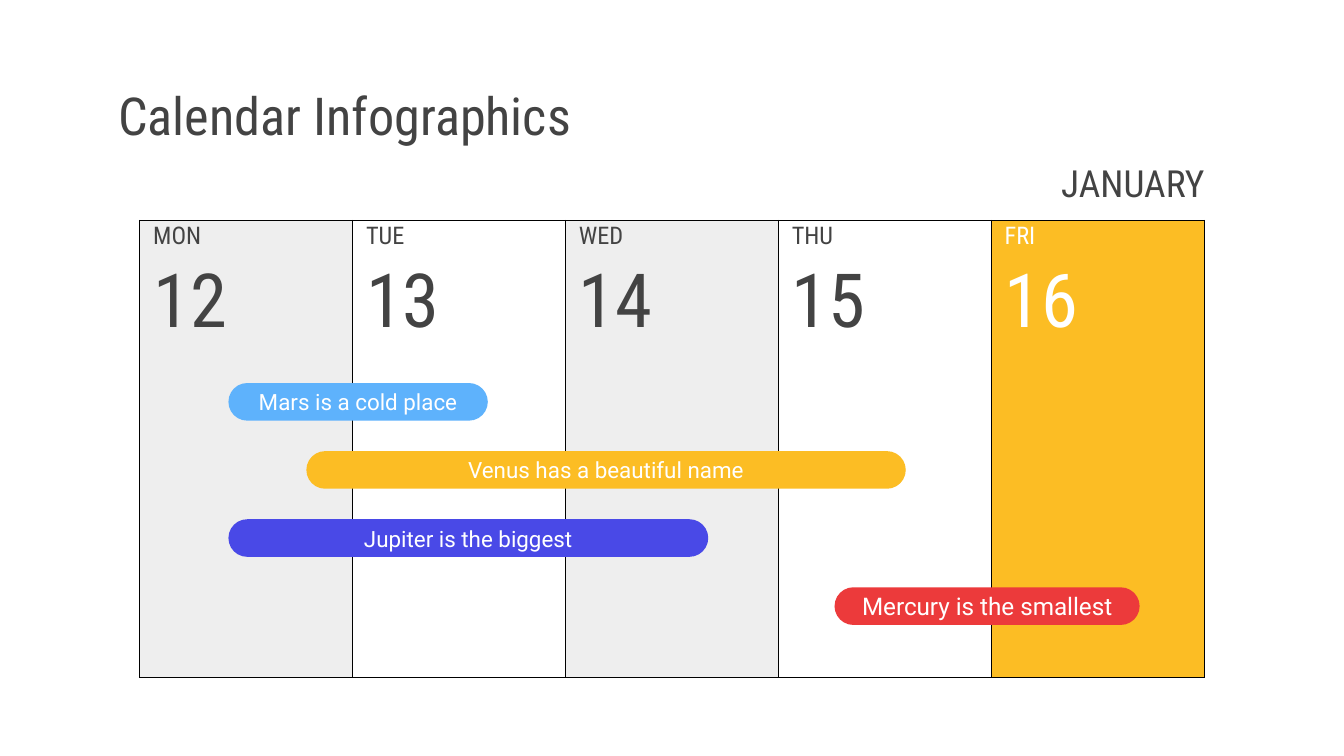
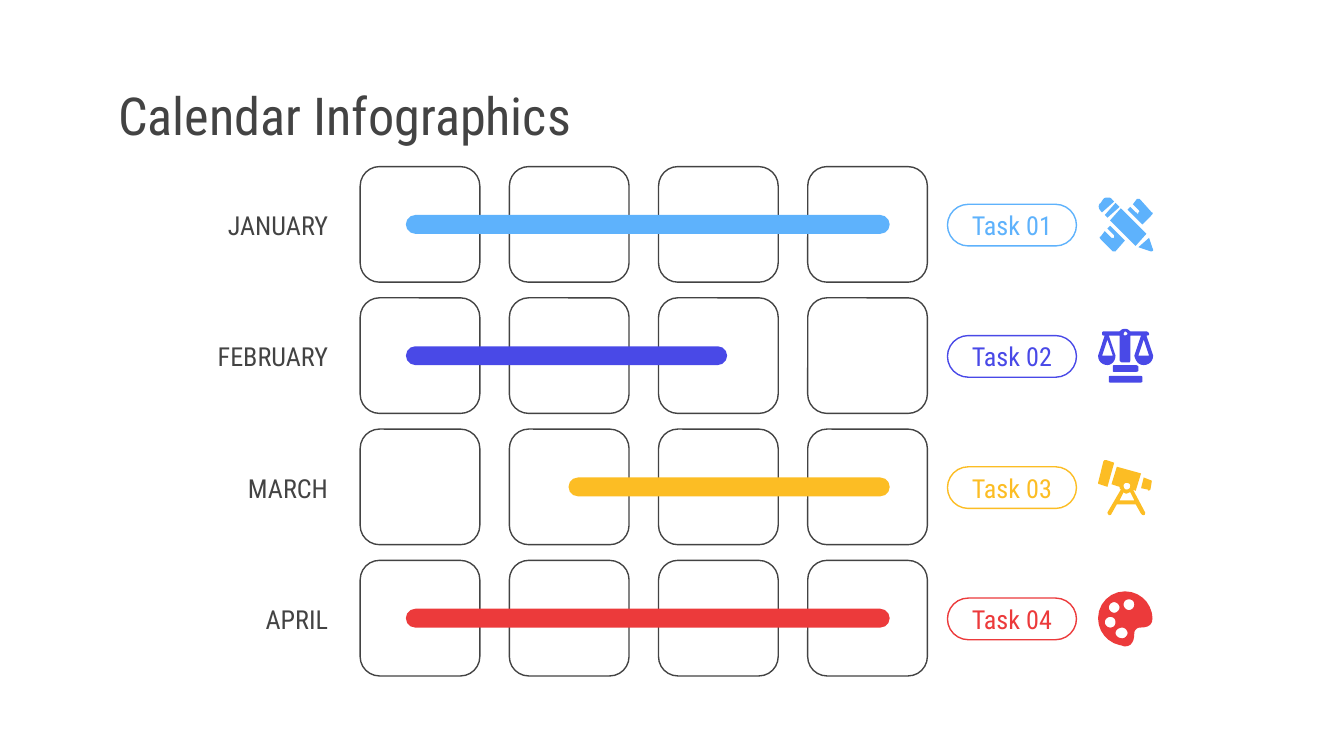
from lxml import etree
from pptx import Presentation
from pptx.dml.color import RGBColor
from pptx.enum.shapes import MSO_SHAPE as Shape
from pptx.enum.text import MSO_ANCHOR as Anchor, PP_ALIGN as Align
from pptx.oxml.ns import qn
from pptx.util import Inches, Pt

COLORS = {
    "text": "434343", "white": "FFFFFF", "black": "000000", "gray": "EEEEEE",
    "sky": "5EB2FC", "indigo": "4949E7", "amber": "FCBD24", "red": "EC3A3B",
}
HEAD_FONT, BODY_FONT = "Roboto Condensed", "Roboto"
TITLE_BOX = (0.78, 0.59, 8.45, 0.53)

# Icon outlines in hundredths of an inch: M move, L line, C cubic curve
PENCIL = [
    "M 13 4 L 5 13 L 7 15 L 16 7",
    "M 30 1 L 29 1 L 26 5 L 30 9 C 31 10 31 11 30 11 C 30 12 30 12 29 12 "
    "C 29 12 29 11 28 11 L 24 7 L 22 9 L 33 20 L 40 13 C 41 12 41 11 40 11 L 31 1",
    "M 17 8 L 9 17 L 28 36 L 36 27",
    "M 38 30 L 30 37 L 39 40 L 40 40 C 40 40 41 40 41 39",
    "M 9 21 L 7 23 L 12 28 C 12 29 12 30 12 30 L 10 30 L 5 25 L 2 29 "
    "C 1 29 1 30 2 31 L 11 40 L 13 40 L 20 32",
    "M 7 0 C 6 0 5 0 4 1 L 2 4 C 0 5 0 8 2 10 L 3 11 L 12 3 L 10 1 C 10 0 8 0 7 0",
]
SCALES = [
    "M 9 35 C 9 35 8 35 8 36 L 8 39 C 8 40 9 40 9 40 L 31 40 "
    "C 32 40 33 40 33 39 L 33 36 C 33 35 32 35 31 35",
    "M 12 27 C 11 27 11 28 11 28 L 11 31 C 11 32 11 32 12 32 L 28 32 "
    "C 29 32 30 32 30 31 L 30 28 C 30 28 29 27 28 27",
    "M 20 2 C 21 2 22 3 22 4 C 22 4 21 5 20 5 C 20 5 19 5 19 4 C 19 3 20 2 20 2 "
    "M 7 8 L 11 20 L 3 20 M 34 8 L 38 20 L 30 20 "
    "M 20 0 C 18 0 17 1 16 2 L 4 2 C 3 2 3 3 3 3 C 3 4 3 5 4 5 L 5 5 L 0 20 "
    "C 0 24 3 27 7 27 C 10 27 13 24 13 20 L 8 5 L 16 5 L 16 23 C 16 24 17 25 18 25 "
    "L 23 25 C 24 25 24 24 24 23 L 24 5 L 32 5 L 27 20 C 28 24 30 27 34 27 "
    "C 38 27 41 24 41 20 L 36 5 C 37 5 38 5 38 4 C 38 3 37 2 36 2 L 24 2 "
    "C 23 1 22 0 20 0",
]
TELESCOPE = [
    "M 5 0 C 5 0 4 1 4 1 L 0 17 C 0 17 0 18 1 18 L 7 20 L 12 2 L 6 0",
    "M 21 17 C 23 17 24 18 24 19 C 24 21 23 22 21 22 C 20 22 19 21 19 19 "
    "C 19 18 20 17 21 17 M 24 24 L 27 30 L 16 30 L 19 24 C 19 24 20 25 21 25 "
    "C 22 25 23 24 24 24 M 14 5 L 10 18 L 16 20 C 16 21 16 21 17 22 L 7 39 "
    "C 7 40 8 41 8 41 C 9 41 10 41 10 40 L 14 33 L 28 33 L 32 40 "
    "C 33 41 33 41 34 41 C 35 41 35 40 35 39 L 26 22 L 28 23 L 32 10",
    "M 34 13 L 32 21 L 37 22 C 37 23 38 23 39 22 L 40 16 C 40 16 40 15 39 15",
]
PALETTE = [
    "M 23 6 C 25 6 27 7 27 10 C 27 12 25 14 23 14 C 21 14 19 12 19 10 "
    "C 19 7 21 6 23 6 M 12 8 C 14 8 16 10 16 12 C 16 14 14 16 12 16 "
    "C 10 16 8 14 8 12 C 8 10 10 8 12 8 M 9 19 C 12 19 13 21 13 23 "
    "C 13 25 12 27 9 27 C 7 27 5 25 5 23 C 5 21 7 19 9 19 M 18 27 "
    "C 20 27 22 29 22 31 C 22 33 20 35 18 35 C 15 35 13 33 13 31 "
    "C 13 29 15 27 18 27 M 20 0 C 9 0 0 9 0 20 C 0 30 7 38 16 40 "
    "C 17 40 19 41 20 41 C 25 41 27 37 27 31 C 27 29 29 27 31 27 "
    "C 38 27 42 25 40 16 C 38 7 30 0 20 0",
]

DAYS = [("MON", "12"), ("TUE", "13"), ("WED", "14"), ("THU", "15"), ("FRI", "16")]
# Text, left, width, colour, size
EVENTS = [
    ("Mars is a cold place", 1.7, 1.93, "sky", 12),
    ("Venus has a beautiful name", 2.28, 4.46, "amber", 12),
    ("Jupiter is the biggest", 1.7, 3.57, "indigo", 12),
    ("Mercury is the smallest", 6.21, 2.27, "red", 13),
]
# Month, task, colour, bar start and width, icon
TASKS = [
    ("JANUARY", "Task 01", "sky", 3.02, 3.6, PENCIL),
    ("FEBRUARY", "Task 02", "indigo", 3.02, 2.39, SCALES),
    ("MARCH", "Task 03", "amber", 4.23, 2.39, TELESCOPE),
    ("APRIL", "Task 04", "red", 3.02, 3.6, PALETTE),
]


def rgb(name):
    return RGBColor.from_string(COLORS[name])


def inches(box):
    return [Inches(v) for v in box]


def spread(first, last, count):
    """Return evenly spaced positions from first to last."""
    return [first + i * (last - first) / (count - 1) for i in range(count)]


def write(tf, text, size, color="text", font=HEAD_FONT, align=Align.LEFT):
    tf.word_wrap = True
    tf.vertical_anchor = Anchor.MIDDLE
    tf.margin_left = tf.margin_right = Inches(0.1)
    tf.margin_top = tf.margin_bottom = Inches(0.1)
    write_paragraph(tf.paragraphs[0], text, size, color, font, align)


def write_paragraph(p, text, size, color, font=HEAD_FONT, align=Align.LEFT):
    p.text, p.alignment = text, align
    p.font.name, p.font.size, p.font.bold = font, Pt(size), False
    p.font.color.rgb = rgb(color)


def paint(sp, fill=None, line=None):
    sp.shadow.inherit = False
    if fill:
        sp.fill.solid()
        sp.fill.fore_color.rgb = rgb(fill)
    else:
        sp.fill.background()
    if line:
        sp.line.color.rgb = rgb(line)
        sp.line.width = Pt(0.75)
    else:
        sp.line.fill.background()


def add_round(shapes, box, radius=0.5, fill=None, line=None):
    sp = shapes.add_shape(Shape.ROUNDED_RECTANGLE, *inches(box))
    sp.adjustments[0] = radius
    paint(sp, fill, line)
    return sp


def add_label(shapes, box, text, size):
    write(shapes.add_textbox(*inches(box)).text_frame, text, size, align=Align.RIGHT)


def add_title_slide(prs):
    s = prs.slides.add_slide(prs.slide_layouts[5])
    title = s.shapes.title
    title.left, title.top, title.width, title.height = inches(TITLE_BOX)
    write(title.text_frame, "Calendar Infographics", 28)
    return s


# Icons
def contours(outline, steps=6):
    """Turn one outline into lists of points, sampling its curves."""
    result = []
    for part in outline.split("M")[1:]:
        points = []
        for piece in part.replace("C", "|").replace("L", "|").split("|"):
            n = [float(v) * 100 for v in piece.split()]
            ends = list(zip(n[::2], n[1::2]))
            if len(ends) == 1:
                points += ends
                continue
            curve = [points[-1]] + ends
            for i in range(1, steps + 1):
                t = i / steps
                weights = ((1 - t) ** 3, 3 * t * (1 - t) ** 2, 3 * t * t * (1 - t), t ** 3)
                points.append(tuple(sum(w * q[axis] for w, q in zip(weights, curve))
                                    for axis in (0, 1)))
        result.append(points)
    return result


def add_icon(shapes, left, top, outlines, color):
    for outline in outlines:
        parts = contours(outline)
        builder = shapes.build_freeform(*parts[0][0], scale=Inches(1) / 10000)
        for i, points in enumerate(parts):
            if i:
                builder.move_to(*points[0])
            builder.add_line_segments(points[1:], close=True)
        paint(builder.convert_to_shape(Inches(left), Inches(top)), color)


# Week table
def set_borders(cell, sides):
    tc_pr = cell._tc.get_or_add_tcPr()
    for i, side in enumerate("LRTB"):
        ln = etree.Element(qn(f"a:ln{side}"), w=str(Pt(0.75)))
        if side in sides:
            fill = etree.SubElement(ln, qn("a:solidFill"))
            etree.SubElement(fill, qn("a:srgbClr"), val=COLORS["black"])
        else:
            etree.SubElement(ln, qn("a:noFill"))
        tc_pr.insert(i, ln)


def add_week(shapes, left, top, width, heights):
    last = len(heights) - 1
    frame = shapes.add_table(len(heights), len(DAYS),
                             *inches((left, top, width, sum(heights))))
    table = frame.table
    table.first_row = table.horz_banding = False
    for row, height in zip(table.rows, heights):
        row.height = Inches(height)
    for c, day in enumerate(DAYS):
        table.columns[c].width = Inches(width / len(DAYS))
        friday = c == len(DAYS) - 1
        fill = "amber" if friday else "gray" if c % 2 == 0 else None
        for r in range(len(heights)):
            cell = table.cell(r, c)
            if fill:
                cell.fill.solid()
                cell.fill.fore_color.rgb = rgb(fill)
            else:
                cell.fill.background()
            set_borders(cell, "LR" + "T" * (r == 0) + "B" * (r == last))
            if r < len(day):
                write_paragraph(cell.text_frame.paragraphs[0], day[r], (13, 40)[r],
                                "white" if friday else "text")
                cell.vertical_anchor = Anchor.MIDDLE
                cell.margin_left = cell.margin_right = Inches(0.1)
                cell.margin_top = cell.margin_bottom = 0


def add_events(shapes, first, last):
    tops = spread(first, last, len(EVENTS))
    for top, (text, left, width, color, size) in zip(tops, EVENTS):
        sp = add_round(shapes, (left, top, width, 0.28), fill=color)
        write(sp.text_frame, text, size, "white", BODY_FONT, Align.CENTER)


def build_week_slide(prs):
    shapes = add_title_slide(prs).shapes
    add_week(shapes, 1.04, 1.64, 7.92, [0.24, 0.73] + [0.81] * 3)
    add_events(shapes, 2.85, 4.37)
    add_label(shapes, (6.69, 1.16, 2.37, 0.39), "JANUARY", 20)


# Month rows
def add_month_row(shapes, top, month, task, color, start, length, icon):
    for left in spread(2.68, 6.01, 4):
        add_round(shapes, (left, top, 0.89, 0.86), 0.167, line="text")
    add_label(shapes, (1.41, top + 0.28, 1.13, 0.31), month, 14)
    add_round(shapes, (start, top + 0.36, length, 0.14), fill=color)
    pill = add_round(shapes, (7.05, top + 0.28, 0.96, 0.31), line=color)
    write(pill.text_frame, task, 14, color, align=Align.CENTER)
    add_icon(shapes, 8.17, top + 0.23, icon, color)


def build_months_slide(prs):
    s = add_title_slide(prs)
    for top, task in zip(spread(1.24, 4.17, len(TASKS)), TASKS):
        add_month_row(s.shapes.add_group_shape().shapes, top, *task)


def main():
    prs = Presentation()
    prs.slide_width, prs.slide_height = Inches(10), Inches(5.625)
    build_week_slide(prs)
    build_months_slide(prs)
    prs.save("out.pptx")


if __name__ == "__main__":
    main()
